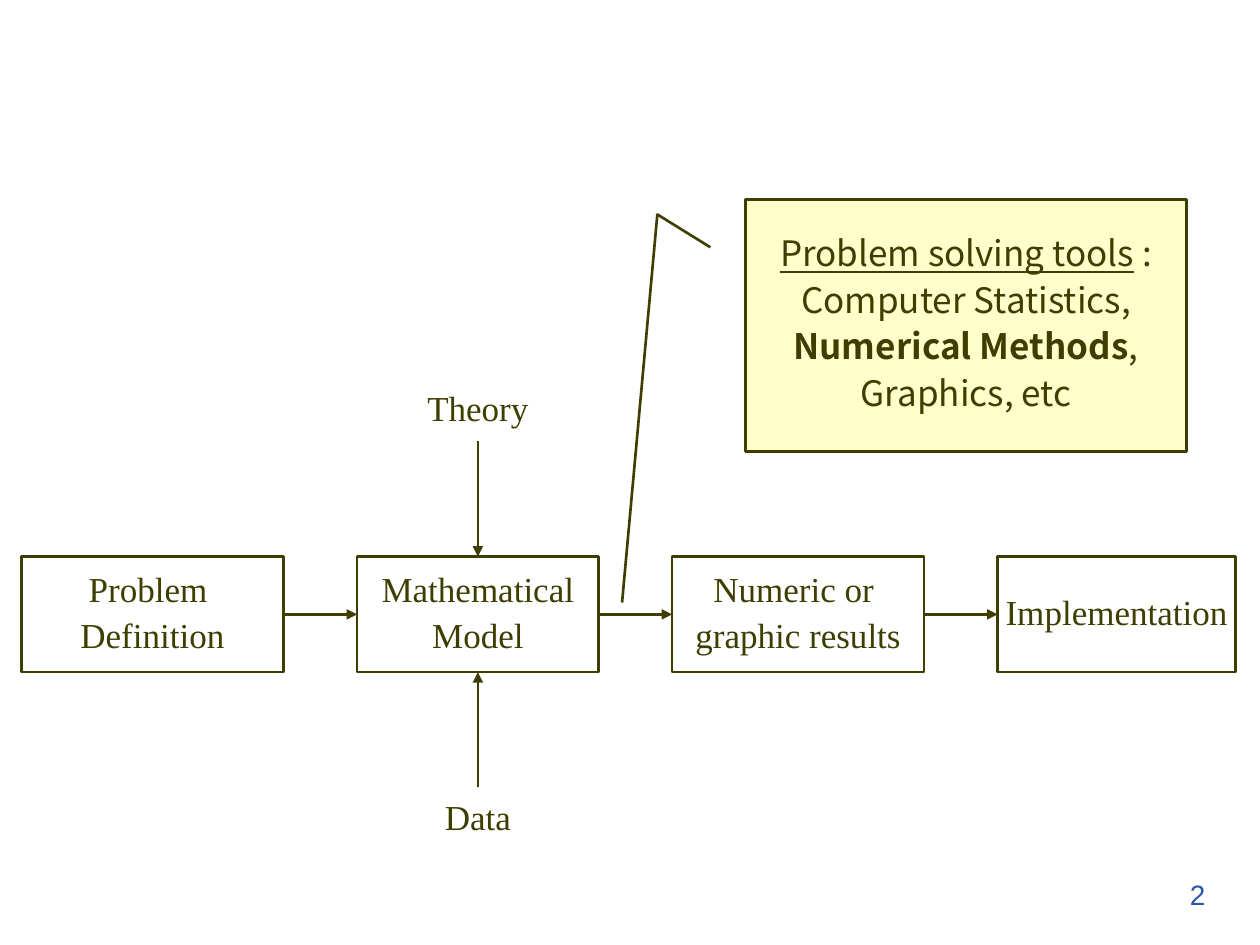
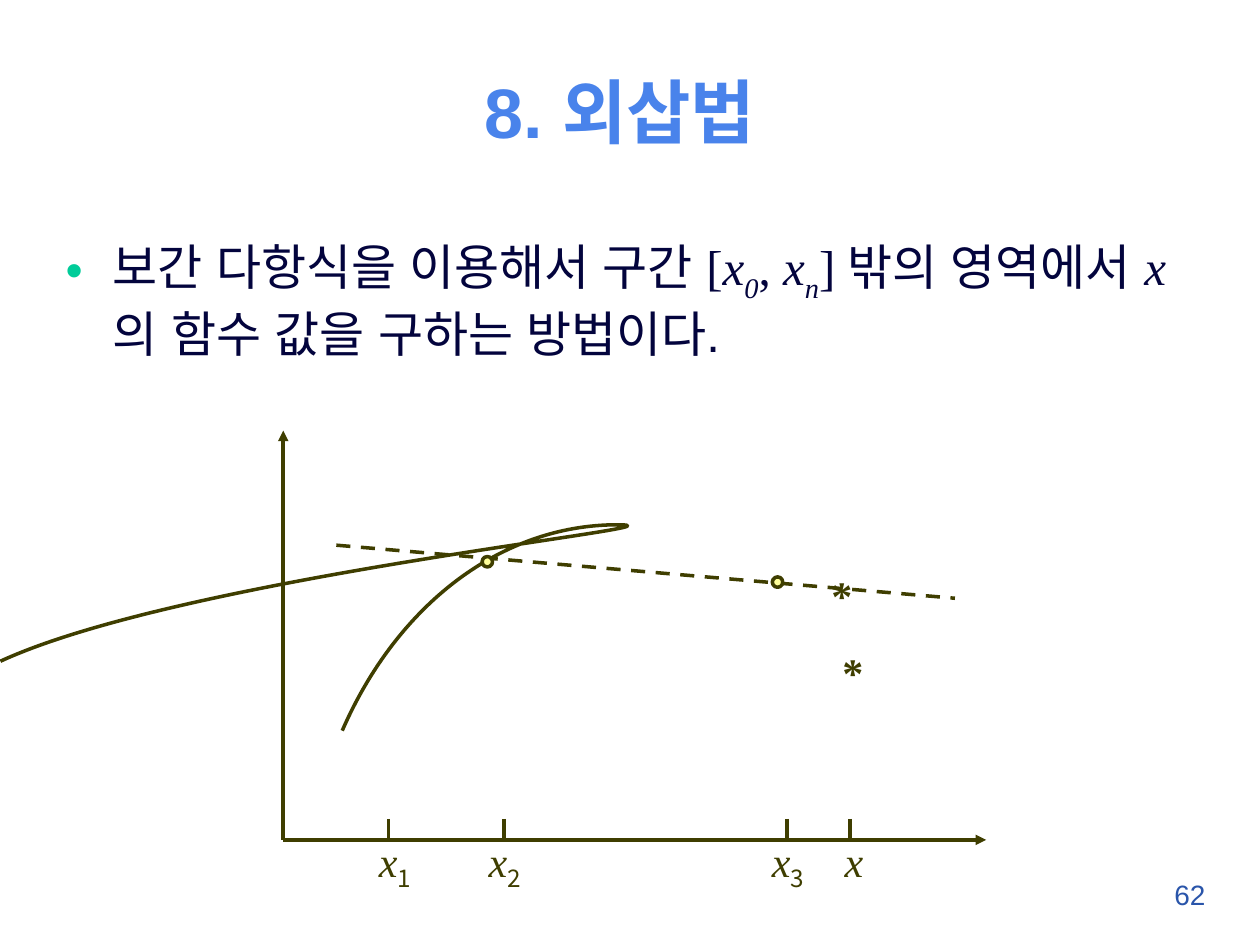
import pptx
import pptx.dml.color
import pptx.enum.dml
import pptx.enum.shapes
import pptx.enum.text
import pptx.oxml.ns
import pptx.util
from lxml import etree

Cm = pptx.util.Cm
SHAPE = pptx.enum.shapes.MSO_SHAPE
ALIGN = pptx.enum.text.PP_ALIGN
ANCHOR = pptx.enum.text.MSO_ANCHOR
qn = pptx.oxml.ns.qn

INK, NAVY, SKY, BLUE = "3F3E00", "03043D", "4983EB", "2A55AA"
MINT, CREAM, LEMON = "00CC99", "FFFFCC", "FFFF99"
SERIF, SANS, KOREAN = "Times New Roman", "Arial", "Noto Sans CJK KR"
TOP, LEFT, BOTTOM, RIGHT = range(4)


def paint(color, code):
    color.rgb = pptx.dml.color.RGBColor.from_string(code)


def style(run, size, font, color, bold=False, italic=False, under=False, sub=False):
    face = run.font
    face.size, face.name = pptx.util.Pt(size), font
    face.bold, face.italic, face.underline = bold, italic, under
    paint(face.color, color)
    props = run._r.get_or_add_rPr()
    east = etree.Element(qn("a:ea"), typeface=font)
    props.find(qn("a:latin")).addnext(east)
    if sub:
        props.set("baseline", "-25000")


def write(shape, lines, align=ALIGN.LEFT, anchor=ANCHOR.TOP, wrap=True,
          space=None, before=0, bullet=None, **look):
    """Fill a shape; each line is a string or a list of strings and (string, changes)."""
    frame = shape.text_frame
    frame.word_wrap, frame.vertical_anchor = wrap, anchor
    frame.auto_size = pptx.enum.text.MSO_AUTO_SIZE.NONE
    for i, line in enumerate(lines):
        para = frame.add_paragraph() if i else frame.paragraphs[0]
        if bullet:
            add_dot(para, bullet)
        para.alignment, para.line_spacing = align, space
        para.space_before = pptx.util.Pt(before if i else 0)
        for part in [line] if isinstance(line, str) else line:
            words, changes = (part, {}) if isinstance(part, str) else part
            run = para.add_run()
            run.text = words
            style(run, **{**look, **changes})


def add_dot(para, code):
    props = para._p.get_or_add_pPr()
    hang = Cm(0.95)
    props.set("marL", str(hang))
    props.set("indent", str(-hang))
    color = etree.SubElement(props, qn("a:buClr"))
    etree.SubElement(color, qn("a:srgbClr"), val=code)
    etree.SubElement(props, qn("a:buChar"), char="•")


def add_label(slide, x, y, w, h, lines, **look):
    box = slide.shapes.add_textbox(Cm(x), Cm(y), Cm(w), Cm(h))
    write(box, lines, **look)
    return box


def add_form(slide, kind, x, y, w, h, fill=None, width=1.5):
    form = slide.shapes.add_shape(kind, Cm(x), Cm(y), Cm(w), Cm(h))
    finish(form, fill, width)
    return form


def finish(form, fill, width):
    form.shadow.inherit = False
    if fill:
        form.fill.solid()
        paint(form.fill.fore_color, fill)
    else:
        form.fill.background()
    paint(form.line.color, INK)
    form.line.width = pptx.util.Pt(width)


def add_line(slide, x1, y1, x2, y2, width=2, arrow=False, dash=False):
    line = slide.shapes.add_connector(
        pptx.enum.shapes.MSO_CONNECTOR.STRAIGHT, Cm(x1), Cm(y1), Cm(x2), Cm(y2))
    paint(line.line.color, INK)
    line.line.width = pptx.util.Pt(width)
    if dash:
        line.line.dash_style = pptx.enum.dml.MSO_LINE.DASH
    if arrow:
        etree.SubElement(line.line._get_or_add_ln(), qn("a:tailEnd"), type="triangle")
    etree.SubElement(line._element.spPr, qn("a:effectLst"))
    return line


def join(slide, start, out, end, into):
    line = add_line(slide, 0, 0, 1, 1, width=1.5, arrow=True)
    line.begin_connect(start, out)
    line.end_connect(end, into)


def add_page(deck, layout, number):
    slide = deck.slides.add_slide(deck.slide_layouts[layout])
    add_label(slide, 22.44, 17.56, 2.11, 0.84, [number],
              align=ALIGN.RIGHT, size=16, font=SANS, color=BLUE)
    return slide


def place(shape, x, y, w, h):
    shape.left, shape.top, shape.width, shape.height = Cm(x), Cm(y), Cm(w), Cm(h)


def draw_flow(slide, left, top):
    look = dict(align=ALIGN.CENTER, anchor=ANCHOR.MIDDLE, wrap=False, space=0.9,
                before=5, size=20, font=SERIF, color=INK)
    gap, high, small, reach = 1.48, 2.33, 1.27, 2.32
    steps = [(5.29, ["Problem ", "Definition"]),
             (4.87, ["Mathematical", "Model"]),
             (5.08, ["Numeric or ", "graphic results"]),
             (4.8, ["Implementation"])]
    boxes, x = [], left
    for wide, lines in steps:
        box = add_form(slide, SHAPE.RECTANGLE, x, top, wide, high)
        write(box, lines, **look)
        boxes.append(box)
        x += wide + gap
    for one, two in zip(boxes, boxes[1:]):
        join(slide, one, RIGHT, two, LEFT)

    model = boxes[1]
    inputs = [("Theory", top - reach - small, BOTTOM, TOP),
              ("Data", top + high + reach, TOP, BOTTOM)]
    for word, y, out, into in inputs:
        label = add_label(slide, model.left.cm, y, model.width.cm, small, [word], **look)
        join(slide, label, out, model, into)


def draw_tools(slide, left, top, wide, high):
    note = add_form(slide, SHAPE.LINE_CALLOUT_2, left, top, wide, high, fill=CREAM)
    for i, value in enumerate([0.19, -0.08, 0.06, -0.2, 1.6, -0.28]):
        note.adjustments[i] = value
    write(note, [[("Problem solving tools", dict(under=True)), " :"],
                 "Computer Statistics,",
                 [("Numerical Methods", dict(bold=True)), ","],
                 "Graphics, etc"],
          align=ALIGN.CENTER, anchor=ANCHOR.MIDDLE, space=0.9, before=5,
          size=20, font=KOREAN, color=INK)


def draw_curve(slide, left, top, wide, high):
    """Two joined cubic curves, given relative to the top left of their frame."""
    start = (0, 4.15)
    bends = [[(1.12, 1.58), (3.23, 0), (5.54, 0)],
             [(7.39, 0), (-3.16, 1.03), (-6.89, 2.75)]]
    pen = slide.shapes.build_freeform(Cm(left), Cm(top))
    pen.add_line_segments([(Cm(left + wide), Cm(top + high))], close=False)
    curve = pen.convert_to_shape()
    finish(curve, None, 2)

    track = next(curve._element.iter(qn("a:path")))
    for part in list(track):
        track.remove(part)
    for tag, knots in [("a:moveTo", [start])] + [("a:cubicBezTo", b) for b in bends]:
        step = etree.SubElement(track, qn(tag))
        for x, y in knots:
            etree.SubElement(step, qn("a:pt"), x=str(Cm(x)), y=str(Cm(y)))


def draw_graph(slide, left, top, wide, high):
    base = top + high
    add_line(slide, left, base, left, top, arrow=True)
    add_line(slide, left, base, left + wide, base, arrow=True)
    add_line(slide, left + 1.07, top + 2.31, left + 13.54, top + 3.38, dash=True)
    draw_curve(slide, left + 1.19, top + 1.9, 11.07, 8.05)

    size = 0.21
    for x, y in [(4.01, 2.54), (9.86, 2.95)]:
        add_form(slide, SHAPE.OVAL, left + x, top + y, size, size, fill=LEMON, width=2)

    look = dict(wrap=False, size=24, font=SERIF, color=INK)
    ticks = [(2.12, 1.68, 1.17, "1"), (4.45, 3.89, 1.17, "2"),
             (10.16, 9.6, 1.17, "3"), (11.43, 11.07, 0.89, "")]
    for x, start, span, index in ticks:
        add_line(slide, left + x, base - 0.42, left + x, base)
        name = [("x", dict(italic=True))]
        if index:
            name.append((index, dict(font=KOREAN, sub=True)))
        add_label(slide, left + start, base - 0.22, span, 1.42, [name], **look)
    for x, y in [(10.8, 2.67), (11.02, 4.22)]:
        add_label(slide, left + x, top + y, 0.91, 1.27, ["*"], bold=True, **look)


def fill_text(slide):
    title, body = slide.shapes.title, slide.placeholders[1]
    place(title, 1.7, 1.27, 21.59, 1.91)
    write(title, ["8. 외삽법"], align=ALIGN.CENTER, anchor=ANCHOR.MIDDLE,
          size=40, font=SANS, color=SKY, bold=True)
    place(body, 1.07, 4.65, 23.5, 12.9)
    plain = dict(font=SERIF)
    slant = dict(font=SERIF, italic=True)
    low = dict(slant, sub=True)
    write(body, [["보간 다항식을 이용해서 구간 ", ("[", plain), ("x", slant), ("0", low),
                  (", ", plain), ("x", slant), ("n", low), ("] ", plain),
                  "밖의 영역에서 ", ("x", slant), "의 함수 값을 구하는 방법이다."]],
          bullet=MINT, size=28, font=SANS, color=NAVY)


def main():
    deck = pptx.Presentation()
    deck.slide_width, deck.slide_height = Cm(25.4), Cm(19.05)

    process = add_page(deck, 6, "2")
    # The process page carries no heading.
    for holder in list(process.placeholders):
        holder._element.getparent().remove(holder._element)
    draw_flow(process, 0.43, 11.22)
    draw_tools(process, 15.03, 4.02, 8.89, 5.08)

    method = add_page(deck, 1, "62")
    fill_text(method)
    draw_graph(method, 5.71, 8.68, 14.17, 8.25)

    deck.save("out.pptx")


if __name__ == "__main__":
    main()
